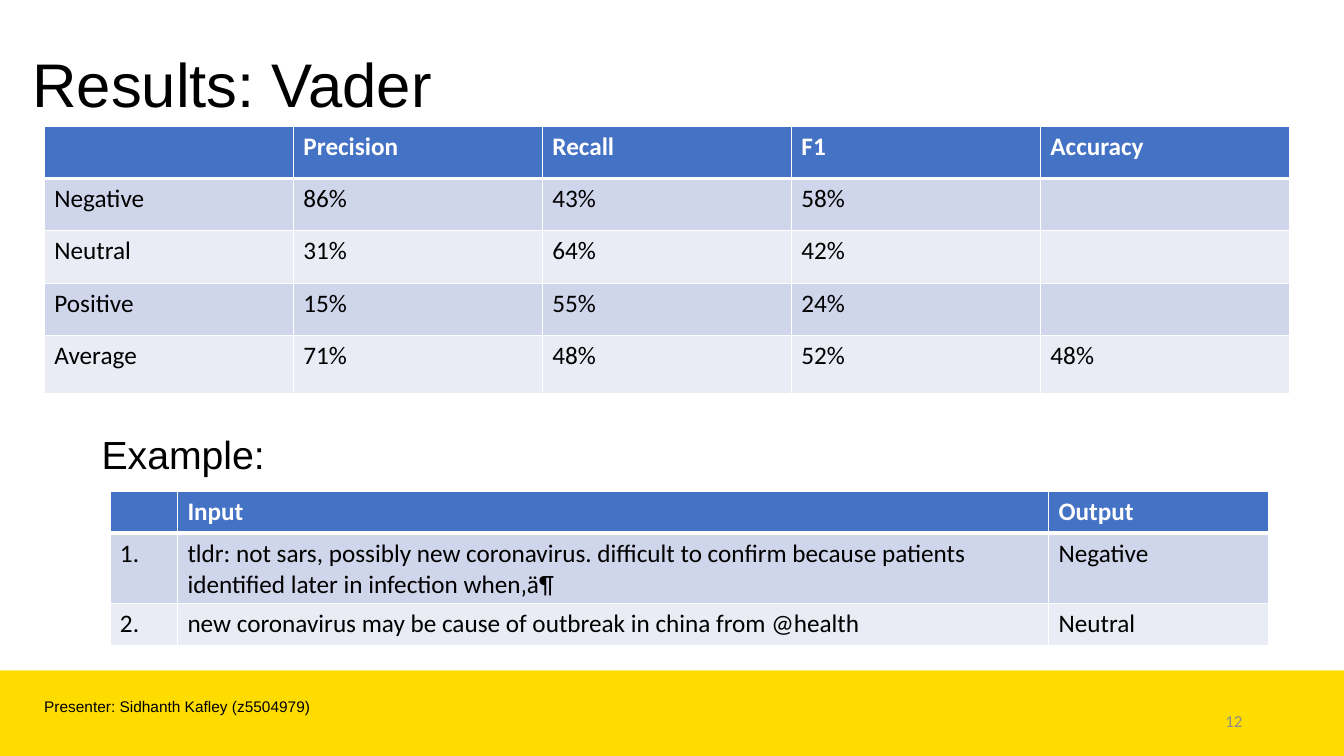
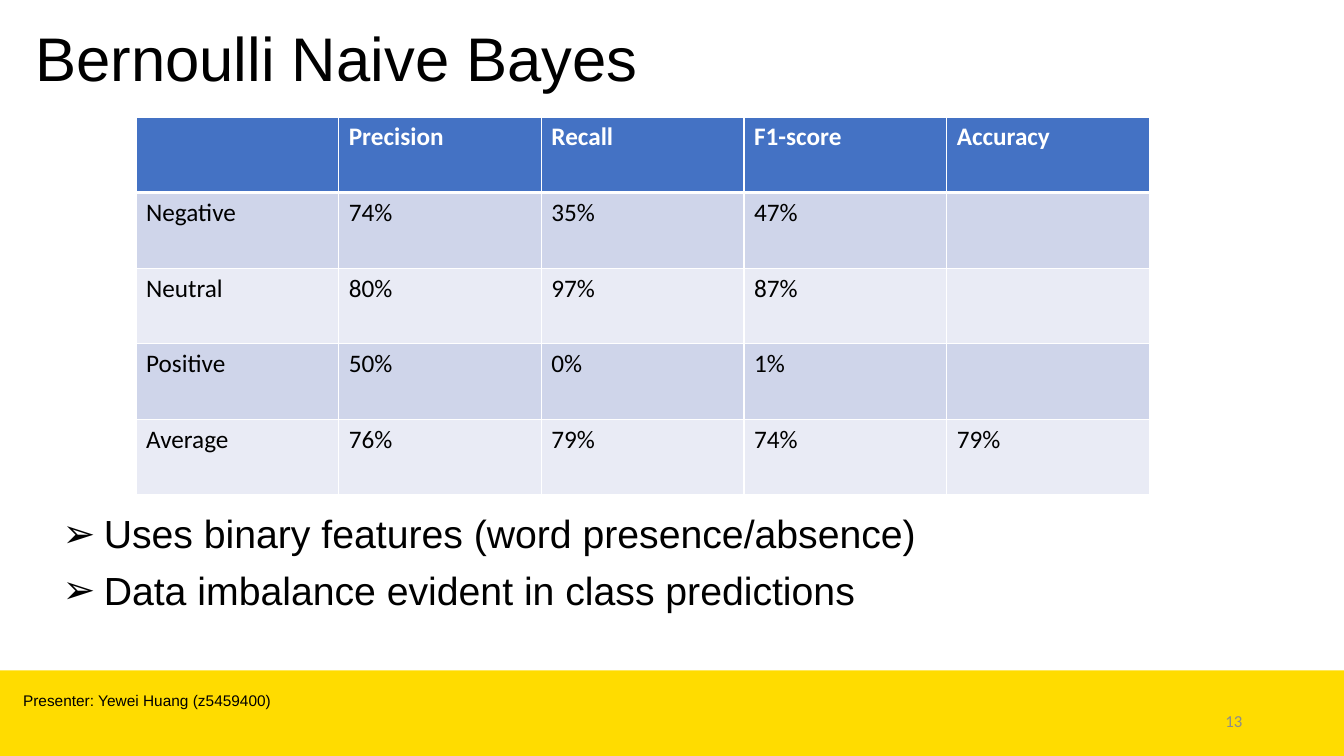
from lxml import etree
from pptx import Presentation
from pptx.dml.color import RGBColor
from pptx.enum.shapes import MSO_SHAPE
from pptx.enum.text import MSO_ANCHOR, MSO_AUTO_SIZE, PP_ALIGN
from pptx.oxml.ns import qn
from pptx.util import Inches, Pt

RECTANGLE = MSO_SHAPE.RECTANGLE
TOP, MIDDLE = MSO_ANCHOR.TOP, MSO_ANCHOR.MIDDLE
NO_AUTOFIT = MSO_AUTO_SIZE.NONE
LEFT, RIGHT = PP_ALIGN.LEFT, PP_ALIGN.RIGHT

BLACK = RGBColor(0x00, 0x00, 0x00)
WHITE = RGBColor(0xFF, 0xFF, 0xFF)
GREY = RGBColor(0x8C, 0x8C, 0x8C)
YELLOW = RGBColor(0xFF, 0xDC, 0x00)
HEADER_BLUE = RGBColor(0x44, 0x72, 0xC4)
DARK_STRIPE = RGBColor(0xCF, 0xD5, 0xEA)
LIGHT_STRIPE = RGBColor(0xE9, 0xEB, 0xF5)

HEADING_FONT = "Arial"
TABLE_FONT = "Calibri"
SLIDE_WIDTH, SLIDE_HEIGHT = 13.33, 7.5
BAND_HEIGHT = 0.85
TITLE_ONLY, TITLE_AND_BODY = 5, 1
BULLET_INDENT = 0.41

VADER_SCORES = [
    ["", "Precision", "Recall", "F1", "Accuracy"],
    ["Negative", "86%", "43%", "58%", ""],
    ["Neutral", "31%", "64%", "42%", ""],
    ["Positive", "15%", "55%", "24%", ""],
    ["Average", "71%", "48%", "52%", "48%"],
]
VADER_EXAMPLES = [
    ["", "Input", "Output"],
    ["1.", "tldr: not sars, possibly new coronavirus. difficult to confirm because "
           "patients identified later in infection when‚ä¶", "Negative"],
    ["2.", "new coronavirus may be cause of outbreak in china from @health", "Neutral"],
]
BAYES_SCORES = [
    ["", "Precision", "Recall", "F1-score", "Accuracy"],
    ["Negative", "74%", "35%", "47%", ""],
    ["Neutral", "80%", "97%", "87%", ""],
    ["Positive", "50%", "0%", "1%", ""],
    ["Average", "76%", "79%", "74%", "79%"],
]
BAYES_NOTES = [
    "Uses binary features (word presence/absence)",
    "Data imbalance evident in class predictions",
]


def write(para, text, font=HEADING_FONT, size=18, color=BLACK, bold=False,
          align=LEFT, line_spacing=1.0, space_before=0):
    para.alignment = align
    para.line_spacing = line_spacing
    para.space_before = Pt(space_before)
    span = para.add_run()
    span.text = text
    span.font.name = font
    span.font.size = Pt(size)
    span.font.bold = bold
    span.font.color.rgb = color


def place(shape, left, top, width, height):
    shape.left, shape.top = Inches(left), Inches(top)
    shape.width, shape.height = Inches(width), Inches(height)


def add_text(page, text, left, top, width, height, anchor=TOP, **text_format):
    box = page.shapes.add_textbox(Inches(left), Inches(top), Inches(width), Inches(height))
    box.text_frame.word_wrap = True
    box.text_frame.vertical_anchor = anchor
    write(box.text_frame.paragraphs[0], text, **text_format)


def add_band(page):
    band = page.shapes.add_shape(RECTANGLE, 0, Inches(SLIDE_HEIGHT - BAND_HEIGHT),
                                 Inches(SLIDE_WIDTH), Inches(BAND_HEIGHT))
    band.shadow.inherit = False
    band.fill.solid()
    band.fill.fore_color.rgb = YELLOW
    band.line.fill.background()
    page.shapes.title.element.addprevious(band.element)


def add_page(deck, layout, title, title_place, number):
    page = deck.slides.add_slide(deck.slide_layouts[layout])
    add_band(page)
    place(page.shapes.title, *title_place)
    frame = page.shapes.title.text_frame
    frame.auto_size = NO_AUTOFIT
    frame.vertical_anchor = MIDDLE
    write(frame.paragraphs[0], title, size=44, line_spacing=0.9)
    add_text(page, number, 9.42, 6.95, 3, 0.4, anchor=MIDDLE,
             font=TABLE_FONT, size=12, color=GREY, align=RIGHT)
    return page


def add_presenter(page, text, left, top, width):
    add_text(page, text, left, top, width, 0.29, size=11)


def set_border(cell, side, width):
    line = etree.SubElement(cell._tc.get_or_add_tcPr(), qn(f"a:ln{side}"), w=str(Pt(width)))
    fill = etree.SubElement(line, qn("a:solidFill"))
    etree.SubElement(fill, qn("a:srgbClr"), val=str(WHITE))


def format_cell(cell, text, row):
    header = row == 0
    widths = {"L": 1, "R": 1, "T": 3 if row == 1 else 1, "B": 3 if header else 1}
    for side, width in widths.items():
        set_border(cell, side, width)
    cell.fill.solid()
    stripe = DARK_STRIPE if row % 2 else LIGHT_STRIPE
    cell.fill.fore_color.rgb = HEADER_BLUE if header else stripe
    if text:
        write(cell.text_frame.paragraphs[0], text, font=TABLE_FONT,
              color=WHITE if header else BLACK, bold=header)


def add_grid(page, values, left, top, widths, heights):
    frame = page.shapes.add_table(len(heights), len(widths), Inches(left), Inches(top),
                                  Inches(sum(widths)), Inches(sum(heights)))
    table = frame.table
    table.horz_banding = False
    for column, width in zip(table.columns, widths):
        column.width = Inches(width)
    for row, height in zip(table.rows, heights):
        row.height = Inches(height)
    for row, texts in enumerate(values):
        for column, text in enumerate(texts):
            format_cell(table.cell(row, column), text, row)


def add_bullets(page, items, *area):
    body = page.placeholders[1]
    place(body, *area)
    frame = body.text_frame
    frame.auto_size = NO_AUTOFIT
    for index, item in enumerate(items):
        para = frame.add_paragraph() if index else frame.paragraphs[0]
        write(para, item, size=28, line_spacing=0.9, space_before=10)
        properties = para._p.get_or_add_pPr()
        properties.set("marL", str(Inches(BULLET_INDENT)))
        properties.set("indent", str(-Inches(BULLET_INDENT)))
        etree.SubElement(properties, qn("a:buFont"), typeface=HEADING_FONT)
        etree.SubElement(properties, qn("a:buChar"), char="➢")


def build_vader(deck):
    page = add_page(deck, TITLE_ONLY, "Results: Vader", (0.22, 0.4, 12.2, 0.94), "12")
    add_grid(page, VADER_SCORES, 0.44, 1.25, [2.47] * 5, [0.52] * 4 + [0.58])
    add_text(page, "Example:", 0.91, 4.22, 3, 0.57, size=28)
    add_grid(page, VADER_EXAMPLES, 1.09, 4.88, [0.67, 8.64, 2.18], [0.41, 0.7, 0.41])
    add_presenter(page, "Presenter: Sidhanth Kafley (z5504979)", 0.34, 6.87, 3)


def build_bayes(deck):
    page = add_page(deck, TITLE_AND_BODY, "Bernoulli Naive Bayes",
                    (0.25, 0.15, 12.72, 0.92), "13")
    add_bullets(page, BAYES_NOTES, 0.52, 5.06, 11.46, 1.66)
    add_presenter(page, "Presenter: Yewei Huang (z5459400)", 0.13, 6.81, 8.01)
    add_grid(page, BAYES_SCORES, 1.35, 1.16, [2.01] * 5, [0.75] * 5)


def main():
    deck = Presentation()
    deck.slide_width, deck.slide_height = Inches(SLIDE_WIDTH), Inches(SLIDE_HEIGHT)
    build_vader(deck)
    build_bayes(deck)
    deck.save("out.pptx")


if __name__ == "__main__":
    main()
